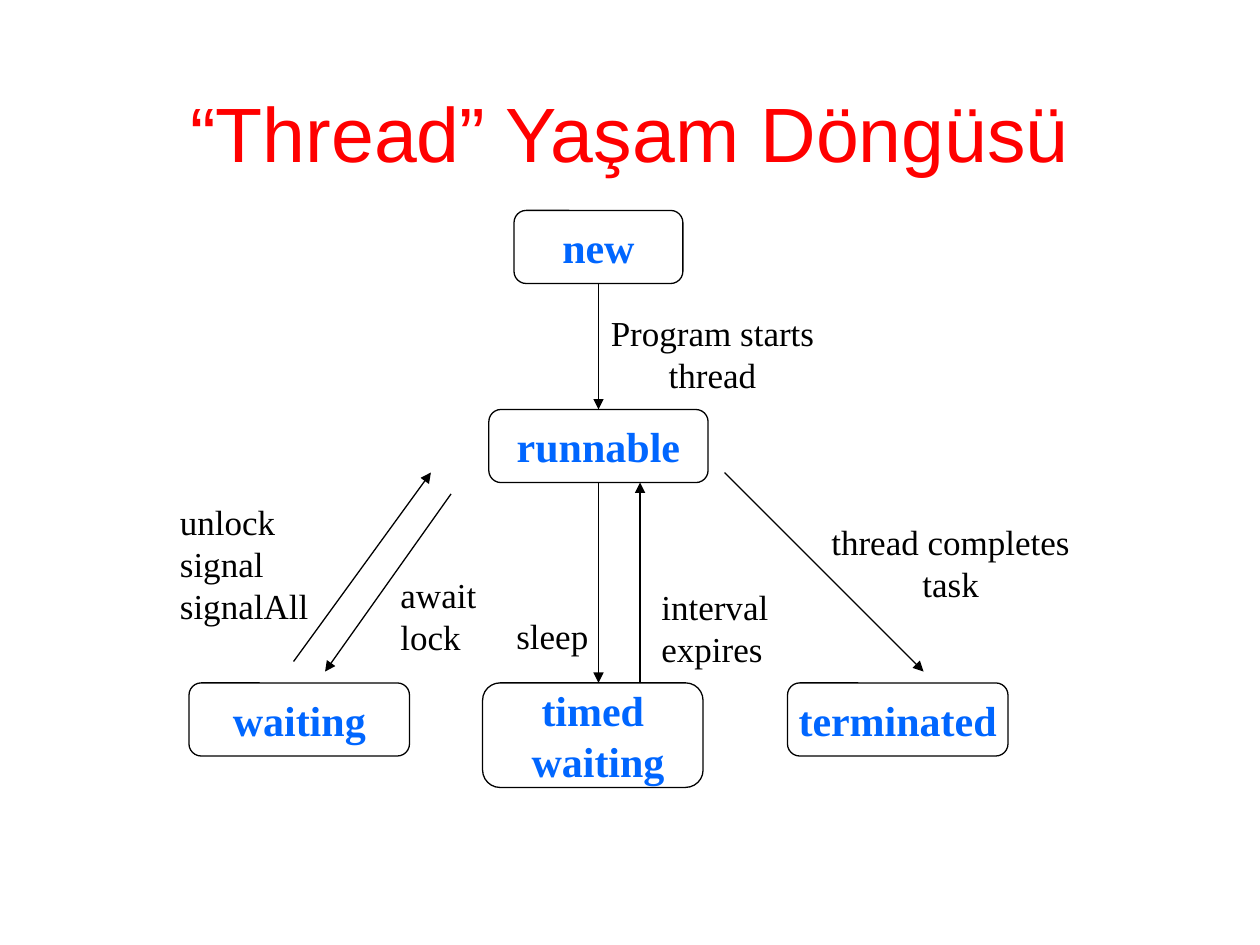
"""Builds a slide with the state diagram of a thread's life cycle."""
import pptx
import pptx.dml.color
import pptx.enum.shapes
import pptx.enum.text
import pptx.oxml
import pptx.oxml.ns
import pptx.util

Inches = pptx.util.Inches
ALIGN = pptx.enum.text.PP_ALIGN
ANCHOR = pptx.enum.text.MSO_ANCHOR
FIT = pptx.enum.text.MSO_AUTO_SIZE
BLACK, BLUE, RED = "000000", "0066FF", "FF0000"

TITLE = "“Thread” Yaşam Döngüsü"
TITLE_PLACE = (0.75, 0.67, 8.5, 0.75)
TITLE_FONT = {"name": "Arial", "size": pptx.util.Pt(44), "bold": False}
STATE_FONT = {"name": "Times New Roman", "size": pptx.util.Pt(24), "bold": True}
LABEL_FONT = {"name": "Times New Roman", "size": pptx.util.Pt(20), "bold": False}

STATES = {
    "new": (["new"], (4.08, 1.67, 1.34, 0.58)),
    "runnable": (["runnable"], (3.88, 3.25, 1.74, 0.58)),
    "waiting": (["waiting"], (1.5, 5.42, 1.75, 0.58)),
    "timed waiting": (["timed", " waiting"], (3.83, 5.42, 1.75, 0.83)),
    "terminated": (["terminated"], (6.25, 5.42, 1.75, 0.58)),
}
LABELS = [
    (["Program starts", "thread"], (4.73, 2.42, 1.85, 0.77), ALIGN.CENTER),
    (["await", "lock"], (3.08, 4.5, 0.84, 0.77), ALIGN.LEFT),
    (["unlock", "signal", "signalAll"], (1.33, 3.92, 1.26, 1.1), ALIGN.LEFT),
    (["sleep"], (4, 4.83, 0.8, 0.44), ALIGN.LEFT),
    (["interval", "expires"], (5.15, 4.6, 1.09, 0.77), ALIGN.LEFT),
    (["thread completes", "task"], (6.48, 4.08, 2.13, 0.77), ALIGN.CENTER),
]
ARROWS = [
    ((4.75, 2.25), (4.75, 3.25), ("new", 2), ("runnable", 0)),
    ((3.58, 3.92), (2.58, 5.33), None, None),
    ((2.33, 5.25), (3.42, 3.75), None, None),
    ((4.75, 3.83), (4.75, 5.42), ("runnable", 2), None),
    ((5.08, 5.42), (5.08, 3.83), None, None),
    ((5.75, 3.75), (7.33, 5.33), None, None),
]


def colour(value):
    return pptx.dml.color.RGBColor.from_string(value)


def inches(values):
    return [Inches(value) for value in values]


def write(frame, lines, font, hue, align, **settings):
    for name, value in settings.items():
        setattr(frame, name, value)
    for index, line in enumerate(lines):
        para = frame.add_paragraph() if index else frame.paragraphs[0]
        para.alignment = align
        span = para.add_run()
        span.text = line
        for name, value in font.items():
            setattr(span.font, name, value)
        span.font.color.rgb = colour(hue)


def outline(line):
    line.color.rgb = colour(BLACK)
    line.width = pptx.util.Pt(0.75)


def add_title(page):
    title = page.shapes.title
    title.left, title.top, title.width, title.height = inches(TITLE_PLACE)
    write(title.text_frame, [TITLE], TITLE_FONT, RED, ALIGN.CENTER,
          vertical_anchor=ANCHOR.MIDDLE, auto_size=FIT.NONE)


def add_state(page, lines, place):
    box = page.shapes.add_shape(
        pptx.enum.shapes.MSO_SHAPE.ROUNDED_RECTANGLE, *inches(place))
    box.shadow.inherit = False
    box.fill.background()
    outline(box.line)
    write(box.text_frame, lines, STATE_FONT, BLUE, ALIGN.CENTER,
          vertical_anchor=ANCHOR.MIDDLE, word_wrap=False)
    return box


def add_label(page, lines, place, align):
    box = page.shapes.add_textbox(*inches(place))
    write(box.text_frame, lines, LABEL_FONT, BLACK, align,
          word_wrap=True, auto_size=FIT.NONE)


def add_arrow(page, boxes, start, end, source, target):
    arrow = page.shapes.add_connector(
        pptx.enum.shapes.MSO_CONNECTOR.STRAIGHT, *inches(start + end))
    for join, joint in ((arrow.begin_connect, source), (arrow.end_connect, target)):
        if joint:
            state, side = joint
            join(boxes[state], side)
    outline(arrow.line)
    properties = arrow.line._get_or_add_ln()
    head = pptx.oxml.parse_xml(
        f'<a:tailEnd {pptx.oxml.ns.nsdecls("a")} type="triangle"/>')
    properties.append(head)
    effects = pptx.oxml.parse_xml(f'<a:effectLst {pptx.oxml.ns.nsdecls("a")}/>')
    properties.getparent().append(effects)


def main():
    deck = pptx.Presentation()
    deck.slide_width, deck.slide_height = Inches(10), Inches(7.5)
    page = deck.slides.add_slide(deck.slide_layouts[5])
    add_title(page)
    boxes = {name: add_state(page, *state) for name, state in STATES.items()}
    for arrow in ARROWS:
        add_arrow(page, boxes, *arrow)
    for label in LABELS:
        add_label(page, *label)
    deck.save("out.pptx")


if __name__ == "__main__":
    main()
